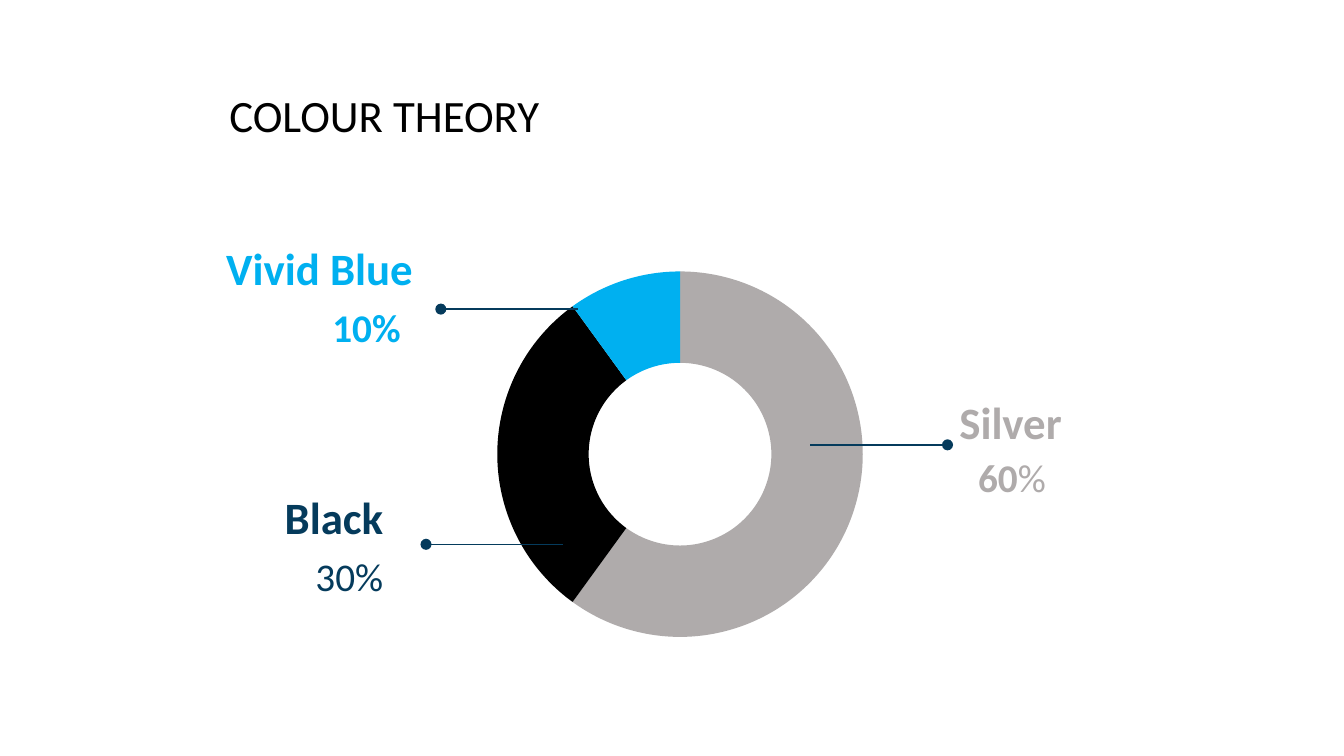
from lxml.etree import SubElement as Sub
from pptx import Presentation
from pptx.chart.data import CategoryChartData as Data
from pptx.dml.color import RGBColor as RGB
from pptx.enum.chart import XL_CHART_TYPE as Kind
from pptx.enum.shapes import MSO_CONNECTOR as Link
from pptx.enum.text import MSO_ANCHOR as Anchor, MSO_AUTO_SIZE as Fit, PP_ALIGN as Align
from pptx.oxml.ns import qn
from pptx.util import Inches, Pt

BLACK = RGB(0, 0, 0)
WHITE = RGB(255, 255, 255)
NAVY = RGB(0x05, 0x3B, 0x5C)
BLUE = RGB(0x00, 0xB0, 0xF0)
SILVER = RGB(0xAF, 0xAB, 0xAB)
FONT = "Calibri"


def write(shape, runs, size, color, align, anchor=Anchor.TOP):
    frame = shape.text_frame
    frame.word_wrap = True
    frame.auto_size = Fit.NONE
    frame.vertical_anchor = anchor
    frame.margin_left = frame.margin_right = Inches(0.1)
    frame.margin_top = frame.margin_bottom = Inches(0.1)
    para = frame.paragraphs[0]
    para.alignment = align
    para.line_spacing = 0.9
    for text, bold in runs:
        run = para.add_run()
        run.text = text
        font = run.font
        font.name, font.size, font.bold = FONT, Pt(size), bold
        font.color.rgb = color


def title(slide, box, text):
    shape = slide.shapes.title
    shape.left, shape.top, shape.width, shape.height = map(Inches, box)
    write(shape, [(text, False)], 24, BLACK, Align.CENTER)


def label(slide, name_box, share_box, name, share, color, align):
    head = slide.shapes.add_textbox(*map(Inches, name_box))
    write(head, [(name, True)], 24, color, align, Anchor.BOTTOM)
    body = slide.shapes.add_textbox(*map(Inches, share_box))
    write(body, share, 21, color, align)


def ring(slide, box, shares, colors):
    data = Data()
    data.categories = ["1", "2", "3"]
    data.add_series("Series 1", shares)
    chart = slide.shapes.add_chart(Kind.DOUGHNUT, *map(Inches, box), data).chart
    chart.has_legend = chart.has_title = False
    chart.font.name, chart.font.size = FONT, Pt(10)
    chart.font.color.rgb = BLACK
    plot = chart.plots[0]
    plot.vary_by_categories = True
    for i, color in enumerate(colors):
        form = plot.series[0].points[i].format
        form.fill.solid()
        form.fill.fore_color.rgb = color
        form.line.fill.background()
    root = chart.element
    root.find(".//" + qn("c:holeSize")).set("val", "50")
    area = root.find(".//" + qn("c:plotArea"))
    old = area.find(qn("c:layout"))
    if old is not None:
        area.remove(old)
    frame = Sub(area, qn("c:layout"))
    area.insert(0, frame)
    spot = Sub(frame, qn("c:manualLayout"))
    wide, high = 2.72 / box[2], 2.72 / box[3]
    for tag, val in (("layoutTarget", "inner"), ("xMode", "edge"), ("yMode", "edge"),
                     ("x", (1 - wide) / 2), ("y", (1 - high) / 2),
                     ("w", wide), ("h", high)):
        Sub(spot, qn("c:" + tag), val=str(val))


def pointer(slide, left, top, end):
    line = slide.shapes.add_connector(
        Link.STRAIGHT, Inches(left), Inches(top), Inches(left + 1.02), Inches(top))
    line.line.color.rgb = NAVY
    line.line.width = Pt(0.75)
    props = line.element.spPr
    Sub(props.find(qn("a:ln")), qn("a:" + end), type="oval")
    Sub(props, qn("a:effectLst"))


def main():
    deck = Presentation()
    deck.slide_width, deck.slide_height = Inches(10), Inches(10 * 9 / 16)
    slide = deck.slides.add_slide(deck.slide_layouts[5])
    slide.background.fill.solid()
    slide.background.fill.fore_color.rgb = WHITE

    title(slide, (1.33, 0.6, 3.06, 0.63), "COLOUR THEORY")
    label(slide, (0.6, 1.76, 2.57, 0.54), (0.78, 2.2, 2.3, 1.03),
          "Vivid Blue", [("10%", True)], BLUE, Align.RIGHT)
    label(slide, (0.78, 3.61, 2.17, 0.54), (0.78, 4.05, 2.17, 1.03),
          "Black", [("30%", False)], NAVY, Align.RIGHT)
    label(slide, (7.04, 1.76, 2.17, 1.68), (7.18, 3.31, 2.04, 0.56),
          "Silver", [("60", True), ("%", False)], SILVER, Align.LEFT)
    ring(slide, (3.19, 1.88, 3.74, 3), (60, 30, 10), (SILVER, BLACK, BLUE))
    for left, top, end in ((3.28, 2.3, "headEnd"), (3.17, 4.05, "headEnd"),
                           (6.03, 3.31, "tailEnd")):
        pointer(slide, left, top, end)
    deck.save("out.pptx")


if __name__ == "__main__":
    main()
